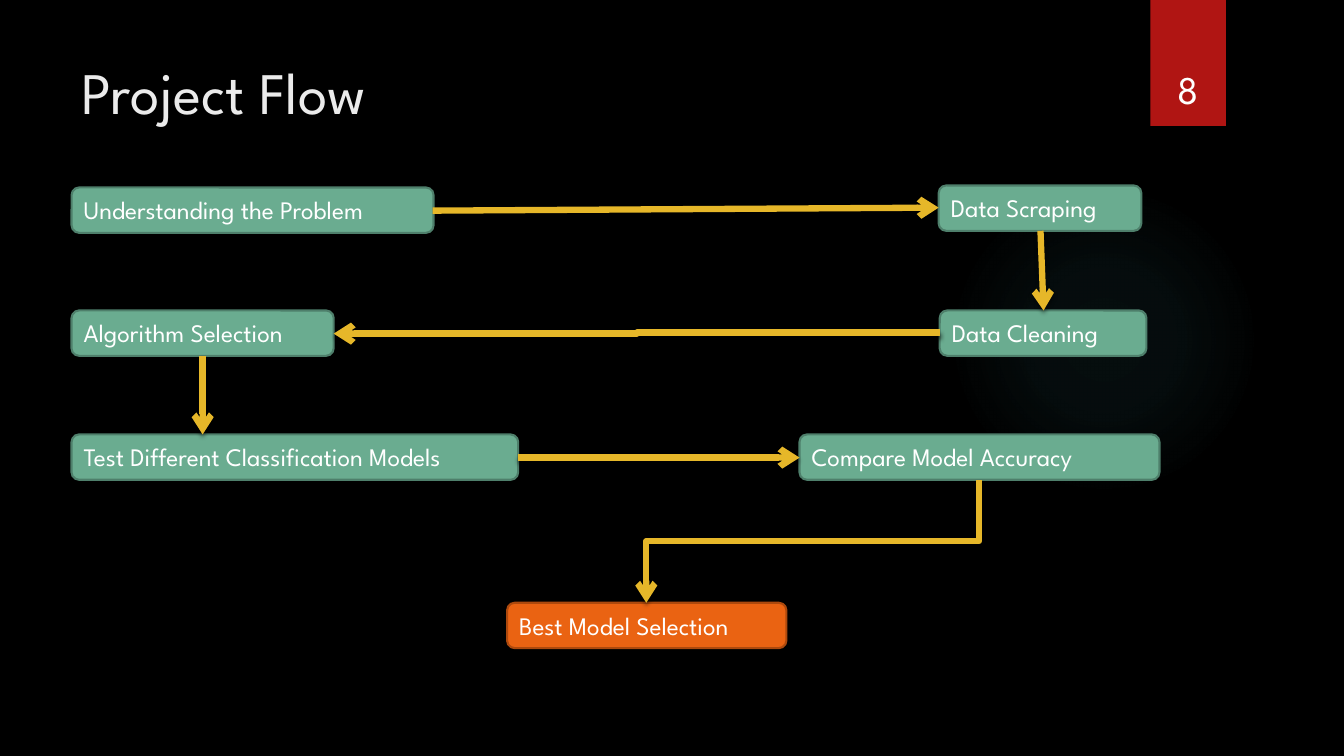
from pptx import Presentation
from pptx import util as u
from pptx.dml.color import RGBColor
from pptx.enum import shapes, text
from pptx.oxml import parse_xml
from pptx.oxml.ns import nsdecls, qn

FONT = "League Spartan"
GREEN, GREEN_EDGE = "6AAC90", "4E7F6B"
ORANGE, ORANGE_EDGE = "EA6312", "AD490D"
SHADOW = (f'<a:effectLst {nsdecls("a")}><a:outerShdw blurRad="38100" dist="25400" '
          'dir="5400000" rotWithShape="0"><a:srgbClr val="000000">'
          '<a:alpha val="45000"/></a:srgbClr></a:outerShdw></a:effectLst>')
NO_SHADOW = f'<a:effectLst {nsdecls("a")}/>'


def color(value):
    return RGBColor.from_string(value)


def write(shape, words, size, value, align=text.PP_ALIGN.LEFT,
          anchor=text.MSO_ANCHOR.TOP):
    """Put one line of styled text in a shape."""
    frame = shape.text_frame
    frame.word_wrap = True
    frame.vertical_anchor = anchor
    para = frame.paragraphs[0]
    para.alignment = align
    span = para.add_run()
    span.text = words
    span.font.name = FONT
    span.font.size = u.Pt(size)
    span.font.color.rgb = color(value)


deck = Presentation()
deck.slide_width, deck.slide_height = u.Inches(13.33), u.Inches(7.5)
page = deck.slides.add_slide(deck.slide_layouts[6])
page.background.fill.solid()
page.background.fill.fore_color.rgb = color("000000")

# Soft glow behind the right-hand steps
glow = page.shapes.add_shape(shapes.MSO_SHAPE.OVAL, u.Inches(9.41), u.Inches(1.83),
                             u.Inches(3.08), u.Inches(3.08))
glow.shadow.inherit = False
glow.line.fill.background()
stops = "".join(
    f'<a:gs pos="{place * 1000}"><a:srgbClr val="50B9C1">'
    f'<a:alpha val="{alpha * 1000}"/></a:srgbClr></a:gs>'
    for place, alpha in [(0, 7), (36, 6), (69, 0)])
glow._element.spPr.find(qn("a:prstGeom")).addnext(parse_xml(
    f'<a:gradFill {nsdecls("a")}><a:gsLst>{stops}</a:gsLst><a:path path="circle">'
    '<a:fillToRect l="50000" t="50000" r="50000" b="50000"/></a:path></a:gradFill>'))

# Page number ribbon and title
ribbon = page.shapes.add_shape(shapes.MSO_SHAPE.RECTANGLE, u.Inches(11.41), 0,
                               u.Inches(0.75), u.Inches(1.25))
ribbon.fill.solid()
ribbon.fill.fore_color.rgb = color("B01513")
ribbon.line.fill.background()
ribbon._element.spPr.append(parse_xml(SHADOW))

title = page.shapes.add_textbox(u.Inches(0.71), u.Inches(0.5),
                                u.Inches(10.29), u.Inches(1.53))
write(title, "Project Flow", 42, "EBEBEB")
number = page.shapes.add_textbox(u.Inches(11.32), u.Inches(0.32),
                                 u.Inches(0.92), u.Inches(0.84))
write(number, "8", 28, "FFFFFF", text.PP_ALIGN.CENTER, text.MSO_ANCHOR.BOTTOM)

# Steps: words, left, top, width, fill, edge
steps = [
    ("Understanding the Problem", 0.71, 1.86, 3.59, GREEN, GREEN_EDGE),
    ("Data Scraping", 9.31, 1.84, 2.01, GREEN, GREEN_EDGE),
    ("Data Cleaning", 9.32, 3.08, 2.05, GREEN, GREEN_EDGE),
    ("Algorithm Selection", 0.71, 3.08, 2.6, GREEN, GREEN_EDGE),
    ("Test Different Classification Models", 0.71, 4.31, 4.43, GREEN, GREEN_EDGE),
    ("Compare Model Accuracy", 7.93, 4.31, 3.57, GREEN, GREEN_EDGE),
    ("Best Model Selection", 5.03, 5.98, 2.77, ORANGE, ORANGE_EDGE),
]
for words, left, top, width, fill, edge in steps:
    box = page.shapes.add_shape(shapes.MSO_SHAPE.ROUNDED_RECTANGLE, u.Inches(left),
                                u.Inches(top), u.Inches(width), u.Inches(0.45))
    box.shadow.inherit = False
    box.fill.solid()
    box.fill.fore_color.rgb = color(fill)
    box.line.color.rgb = color(edge)
    box.line.width = u.Pt(1.5)
    write(box, words, 18, "FFFFFF")

# Arrows: kind, start, end, quarter turns, effect.
# The last one is laid out flat and turned, so that it leaves its step downwards.
STRAIGHT, ELBOW = shapes.MSO_CONNECTOR.STRAIGHT, shapes.MSO_CONNECTOR.ELBOW
arrows = [
    (STRAIGHT, (4.29, 2.09), (9.31, 2.06), 0, NO_SHADOW),
    (STRAIGHT, (10.32, 2.29), (10.35, 3.08), 0, SHADOW),
    (STRAIGHT, (5.14, 4.54), (7.93, 4.54), 0, SHADOW),
    (ELBOW, (9.32, 3.3), (3.31, 3.31), 0, SHADOW),
    (STRAIGHT, (2.01, 3.53), (2.01, 4.31), 0, SHADOW),
    (ELBOW, (7.45, 3.72), (8.67, 7.02), 1, SHADOW),
]
for kind, start, end, turns, effect in arrows:
    arrow = page.shapes.add_connector(kind, *map(u.Inches, start + end))
    arrow.line.color.rgb = color("E6B729")
    arrow.line.width = u.Pt(4.5)
    props = arrow._element.spPr
    if turns:
        props.find(qn("a:xfrm")).set("rot", str(turns * 5400000))
    props.find(qn("a:ln")).append(parse_xml(f'<a:tailEnd {nsdecls("a")} type="arrow"/>'))
    props.append(parse_xml(effect))

deck.save("out.pptx")
